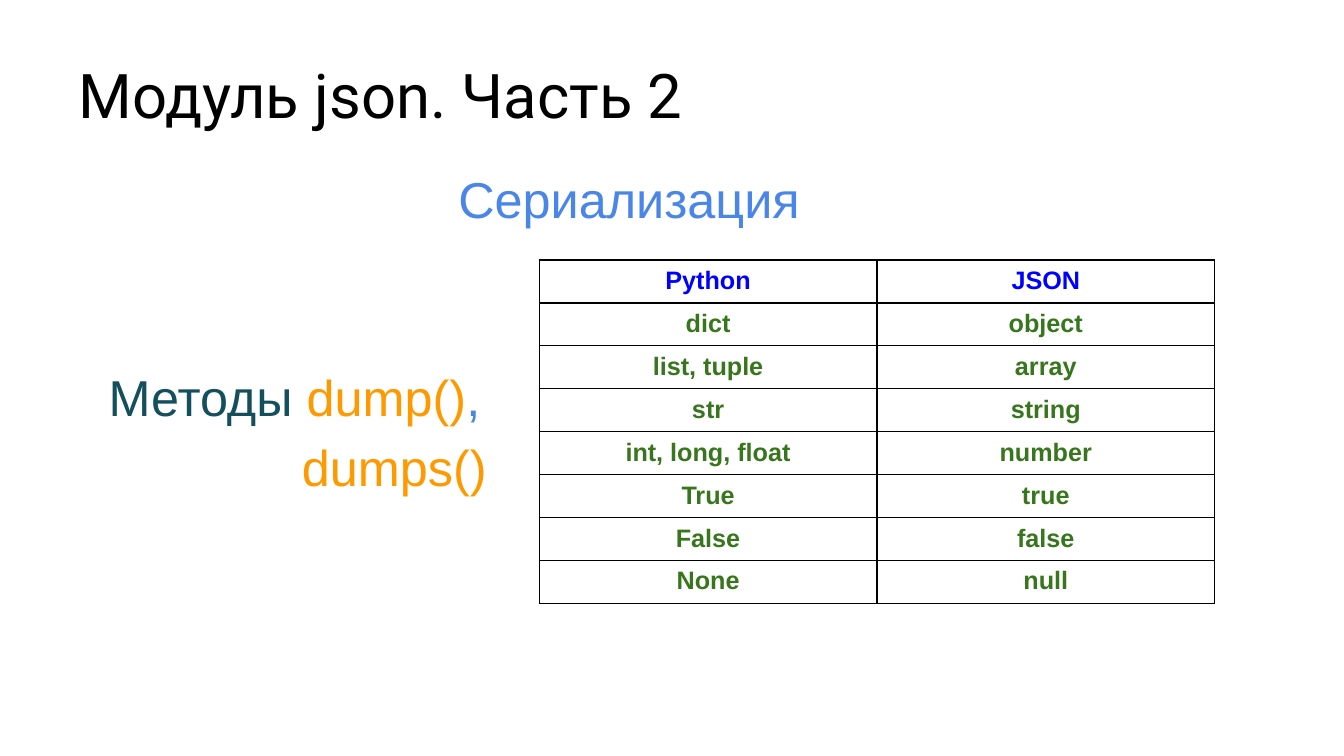
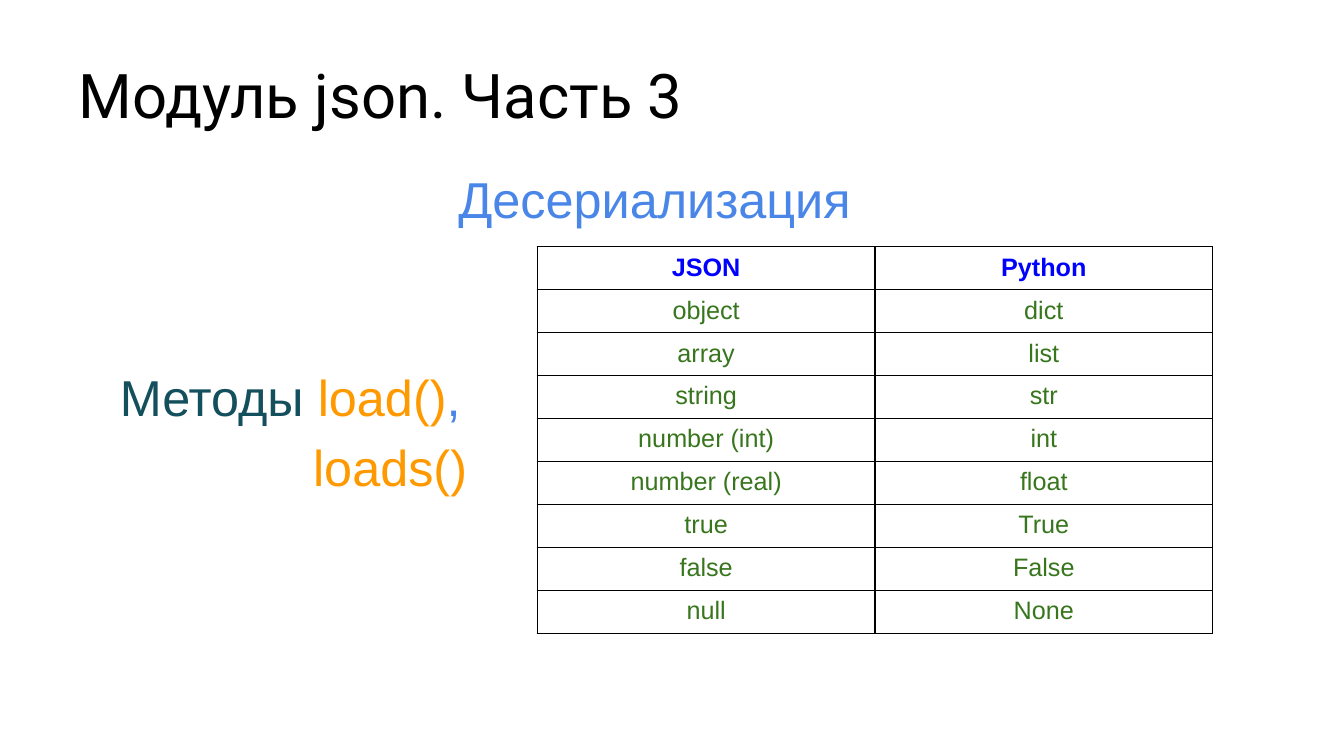
from dataclasses import dataclass

from lxml.etree import SubElement
from pptx import Presentation
from pptx.dml.color import RGBColor
from pptx.enum.text import MSO_ANCHOR, PP_ALIGN
from pptx.oxml.ns import qn
from pptx.util import Cm, Pt


@dataclass(frozen=True)
class Theme:
    # Colours
    black: str = "000000"
    blue: str = "4A86E8"
    teal: str = "134F5C"
    orange: str = "FF9900"
    header: str = "0000FF"
    green: str = "38761D"
    # Fonts and type sizes
    title_font: str = "Roboto"
    body_font: str = "Arial"
    title_size: int = 44
    body_size: int = 36
    table_size: int = 18


THEME = Theme()
BLANK_LAYOUT = 6
COLUMN_WIDTH = Cm(8.51)
ROW_HEIGHT = Cm(1.06)
CELL_INSET = Cm(0.16)
# Brings the second method name under the first one
METHOD_INDENT = Cm(4.87)

SERIALIZATION = [
    ("Python", "JSON"),
    ("dict", "object"),
    ("list, tuple", "array"),
    ("str", "string"),
    ("int, long, float", "number"),
    ("True", "true"),
    ("False", "false"),
    ("None", "null"),
]
DESERIALIZATION = [
    ("JSON", "Python"),
    ("object", "dict"),
    ("array", "list"),
    ("string", "str"),
    ("number (int)", "int"),
    ("number (real)", "float"),
    ("true", "True"),
    ("false", "False"),
    ("null", "None"),
]


# Text
def add_span(para, text, color, size=THEME.body_size, font=THEME.body_font, bold=False):
    span = para.add_run()
    span.text = text
    span.font.name = font
    span.font.size = Pt(size)
    span.font.bold = bold
    span.font.color.rgb = RGBColor.from_string(color)


def add_box(page, left, top, width, height, inset_y=0.25, anchor=MSO_ANCHOR.TOP):
    box = page.shapes.add_textbox(Cm(left), Cm(top), Cm(width), Cm(height))
    frame = box.text_frame
    frame.word_wrap = True
    frame.vertical_anchor = anchor
    frame.margin_left = frame.margin_right = Cm(0.25)
    frame.margin_top = frame.margin_bottom = Cm(inset_y)
    return frame


def add_title(page, text):
    frame = add_box(page, 1.73, 1.27, 30.02, 2.18, 0.13, MSO_ANCHOR.BOTTOM)
    para = frame.paragraphs[0]
    para.line_spacing = 0.9
    add_span(para, text, THEME.black, THEME.title_size, THEME.title_font)


def add_subtitle(page, text):
    para = add_box(page, 11.3, 3.76, 10.5, 2.18).paragraphs[0]
    para.line_spacing = 1.15
    add_span(para, text, THEME.blue)


def add_methods(page, left, first, second):
    frame = add_box(page, left, 8.76, 10.21, 4.01)
    para = frame.paragraphs[0]
    para.line_spacing = 1.15
    add_span(para, "Методы ", THEME.teal)
    add_span(para, first, THEME.orange)
    add_span(para, ",", THEME.blue)

    para = frame.add_paragraph()
    para.line_spacing = 1.15
    para._p.get_or_add_pPr().set("marL", str(METHOD_INDENT))
    add_span(para, second, THEME.orange)


# Table
def add_borders(cell):
    properties = cell._tc.get_or_add_tcPr()
    for side in ("a:lnL", "a:lnR", "a:lnT", "a:lnB"):
        line = SubElement(properties, qn(side), w=str(Pt(1)))
        fill = SubElement(line, qn("a:solidFill"))
        SubElement(fill, qn("a:srgbClr"), val=THEME.black)


def fill_cell(cell, text, color, bold):
    cell.margin_left = cell.margin_right = CELL_INSET
    cell.margin_top = cell.margin_bottom = CELL_INSET
    add_borders(cell)
    cell.fill.background()
    para = cell.text_frame.paragraphs[0]
    para.alignment = PP_ALIGN.CENTER
    add_span(para, text, color, THEME.table_size, bold=bold)


def add_type_table(page, left, top, rows, bold_body):
    columns = len(rows[0])
    table = page.shapes.add_table(
        len(rows), columns, Cm(left), Cm(top),
        COLUMN_WIDTH * columns, ROW_HEIGHT * len(rows),
    ).table
    table.first_row = table.horz_banding = False
    for column in table.columns:
        column.width = COLUMN_WIDTH
    for row_index, row in enumerate(rows):
        table.rows[row_index].height = ROW_HEIGHT
        is_header = row_index == 0
        color = THEME.header if is_header else THEME.green
        for column_index, text in enumerate(row):
            cell = table.cell(row_index, column_index)
            fill_cell(cell, text, color, is_header or bold_body)


def add_page(deck, title, subtitle):
    page = deck.slides.add_slide(deck.slide_layouts[BLANK_LAYOUT])
    add_title(page, title)
    add_subtitle(page, subtitle)
    return page


def main():
    deck = Presentation()
    deck.slide_width, deck.slide_height = Cm(33.87), Cm(19.05)

    # Serialization
    page = add_page(deck, "Модуль json. Часть 2", "Сериализация")
    add_methods(page, 2.49, "dump()", "dumps()")
    add_type_table(page, 13.59, 6.55, SERIALIZATION, bold_body=True)

    # Deserialization
    page = add_page(deck, "Модуль json. Часть 3", "Десериализация")
    add_methods(page, 2.77, "load()", "loads()")
    add_type_table(page, 13.54, 6.22, DESERIALIZATION, bold_body=False)

    deck.save("out.pptx")


if __name__ == "__main__":
    main()
